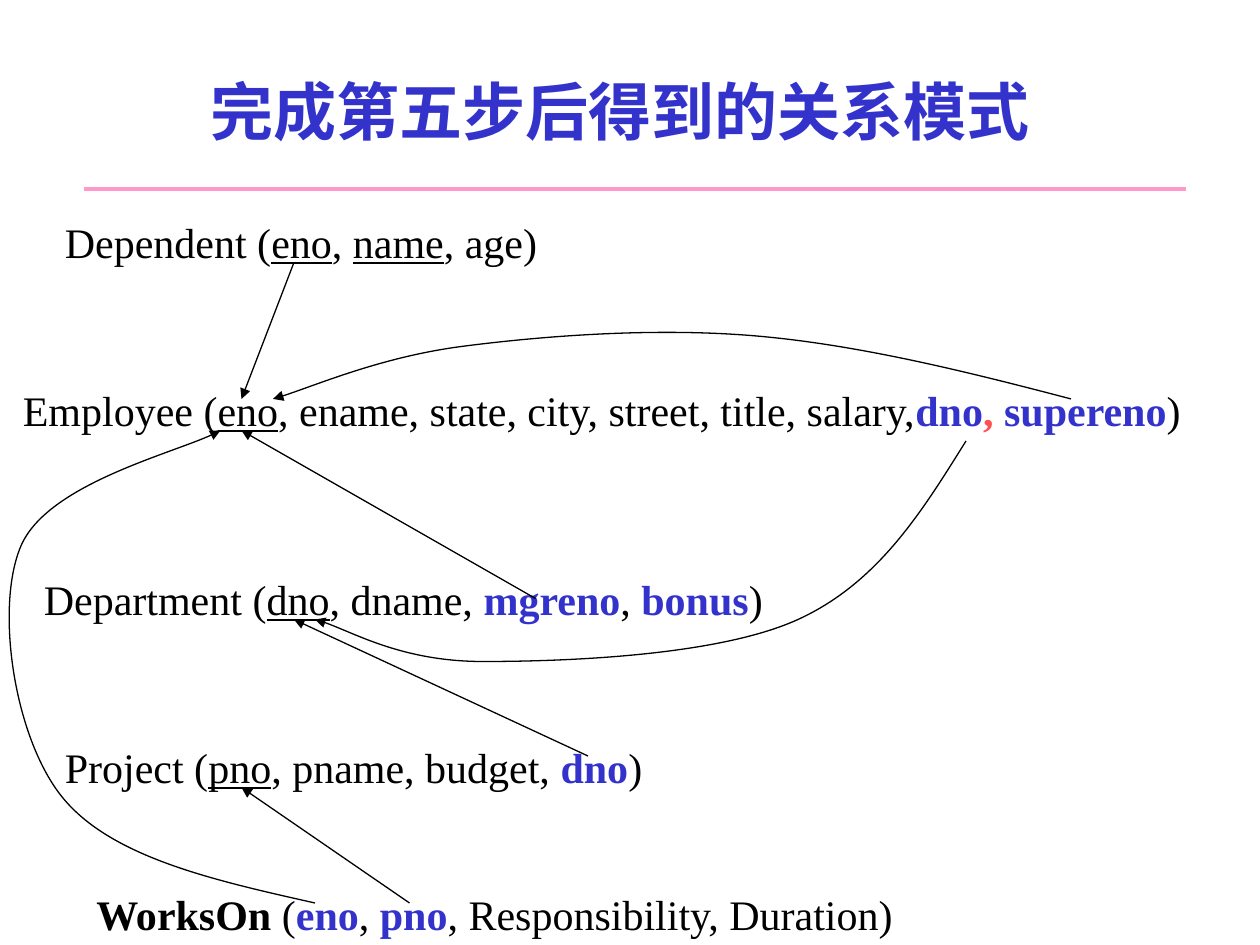
import pptx
import pptx.dml.color
import pptx.enum.shapes
import pptx.enum.text
import pptx.oxml
import pptx.oxml.ns
import pptx.util
from lxml import etree

Pt = pptx.util.Pt
qn = pptx.oxml.ns.qn

BLACK, BLUE, RED, PINK = "000000", "3333CC", "FF5050", "FF99CC"


def color(hex_string):
    return pptx.dml.color.RGBColor.from_string(hex_string)


class Diagram:
    latin = "Times New Roman"
    cjk = "Noto Sans CJK SC"
    # run style: colour, bold, underline
    runs = {
        "text": (BLACK, False, False),
        "name": (BLACK, True, False),
        "key": (BLACK, False, True),
        "foreign": (BLUE, True, False),
        "mark": (RED, True, False),
    }

    def __init__(self, slide):
        self.s = slide

    def box(self, left, top, width, height, wrap=True):
        sp = self.s.shapes.add_textbox(Pt(left), Pt(top), Pt(width), Pt(height))
        sp.text_frame.word_wrap = wrap
        return sp.text_frame

    def font(self, r, name, size, hex_string, bold, underline=False):
        r.font.name = name
        r.font.size = Pt(size)
        r.font.bold = bold
        r.font.underline = underline
        r.font.color.rgb = color(hex_string)

    def title(self, text, left, top, width, height):
        tf = self.box(left, top, width, height)
        tf.vertical_anchor = pptx.enum.text.MSO_ANCHOR.MIDDLE
        tf.text = text
        p = tf.paragraphs[0]
        p.alignment = pptx.enum.text.PP_ALIGN.CENTER
        r = p.runs[0]
        self.font(r, self.cjk, 36, BLUE, True)
        ea = etree.SubElement(r.font._element, qn("a:ea"))
        ea.set("typeface", self.cjk)

    def relation(self, left, top, width, wrap, parts):
        tf = self.box(left, top, width, 36, wrap)
        tf.auto_size = pptx.enum.text.MSO_AUTO_SIZE.SHAPE_TO_FIT_TEXT
        for style, text in parts:
            r = tf.paragraphs[0].add_run()
            r.text = text
            self.font(r, self.latin, 24, *self.runs[style])

    def stroke(self, sp, hex_string, width, arrow):
        sp.line.color.rgb = color(hex_string)
        sp.line.width = Pt(width)
        if arrow:
            tail = etree.SubElement(sp.line._get_or_add_ln(), qn("a:tailEnd"))
            tail.set("type", "triangle")

    def line(self, start, end, hex_string=BLACK, width=0.75, arrow=True):
        sp = self.s.shapes.add_connector(
            pptx.enum.shapes.MSO_CONNECTOR.STRAIGHT,
            *(Pt(v) for v in start + end))
        self.stroke(sp, hex_string, width, arrow)
        etree.SubElement(sp._element.spPr, qn("a:effectLst"))

    def curve(self, start, *points):
        fb = self.s.shapes.build_freeform(Pt(start[0]), Pt(start[1]))
        fb.add_line_segments([(Pt(x), Pt(y)) for x, y in points], close=False)
        sp = fb.convert_to_shape()
        # Every three vertices become one cubic Bezier segment
        path = next(sp._element.iter(qn("a:path")))
        path.set("fill", "none")
        segments = path.findall(qn("a:lnTo"))
        for i in range(0, len(segments), 3):
            cubic = etree.SubElement(path, qn("a:cubicBezTo"))
            for segment in segments[i:i + 3]:
                cubic.append(segment[0])
                path.remove(segment)
        sp.fill.background()
        self.stroke(sp, BLACK, 0.75, True)
        sp.shadow.inherit = False


def main():
    prs = pptx.Presentation()
    prs.slide_width, prs.slide_height = Pt(720), Pt(540)
    d = Diagram(prs.slides.add_slide(prs.slide_layouts[6]))

    # Title and rule
    d.line((48, 108), (678, 108), PINK, 2, arrow=False)
    d.title("完成第五步后得到的关系模式", 6, 18, 696, 90)

    # Relations
    d.relation(30, 120, 284.4, False, [
        ("text", "Dependent ("), ("key", "eno"), ("text", ", "),
        ("key", "name"), ("text", ", age)")])
    d.relation(6, 216, 678, True, [
        ("text", "Employee ("), ("key", "eno"),
        ("text", ", ename, state, city, street, title, salary,"),
        ("foreign", "dno"), ("mark", ", "), ("foreign", "supereno"),
        ("text", ")")])
    d.relation(18, 324, 425.5, False, [
        ("text", "Department ("), ("key", "dno"), ("text", ", dname, "),
        ("foreign", "mgreno"), ("text", ", "), ("foreign", "bonus"),
        ("text", ")")])
    d.relation(30, 420, 354, True, [
        ("text", "Project ("), ("key", "pno"), ("text", ", pname, budget, "),
        ("foreign", "dno"), ("text", ")")])
    d.relation(48, 504, 472.3, False, [
        ("name", "WorksOn"), ("text", " ("), ("foreign", "eno"),
        ("text", ", "), ("foreign", "pno"),
        ("text", ", Responsibility, Duration)")])

    # Straight references
    d.line((168, 150), (138, 228))  # Dependent.eno to Employee
    d.line((306, 342), (138, 246))  # Department.mgreno to Employee
    d.line((336, 432), (168, 354))  # Project.dno to Department
    d.line((234, 516), (138, 450))  # WorksOn.pno to Project

    # Curved references: supereno, Employee.dno, WorksOn.eno
    d.curve((612, 228), (551, 212), (490, 197), (432, 192),
            (374, 187), (310, 192), (264, 198),
            (218, 204), (174, 223), (156, 228))
    d.curve((552, 252), (527, 292), (502, 333), (456, 354),
            (410, 375), (322, 378), (276, 378),
            (230, 378), (196, 358), (180, 354))
    d.curve((180, 516), (122, 503), (64, 490), (36, 456),
            (8, 422), (-3, 347), (12, 312),
            (27, 277), (107, 257), (126, 246))

    prs.save("out.pptx")


if __name__ == "__main__":
    main()
